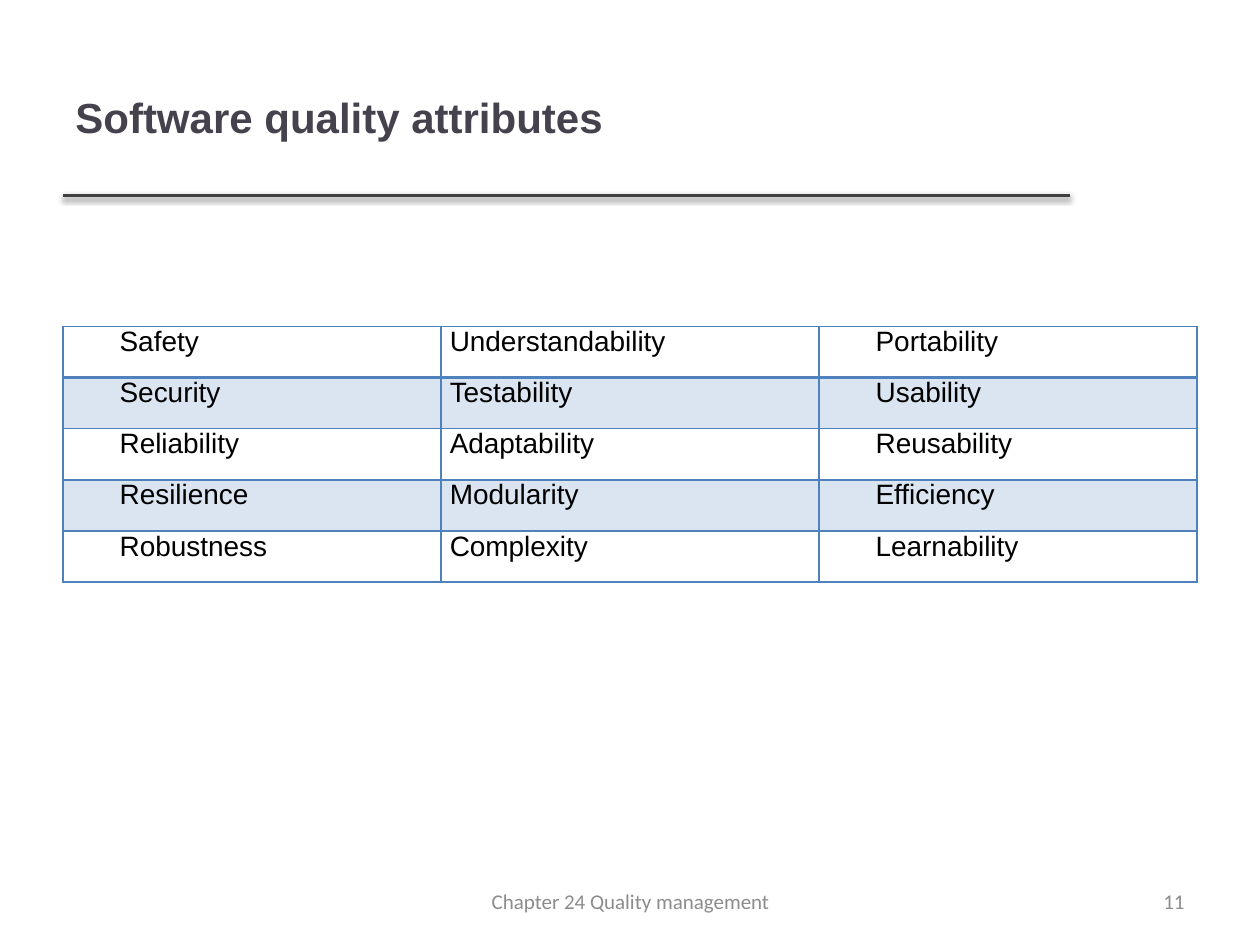
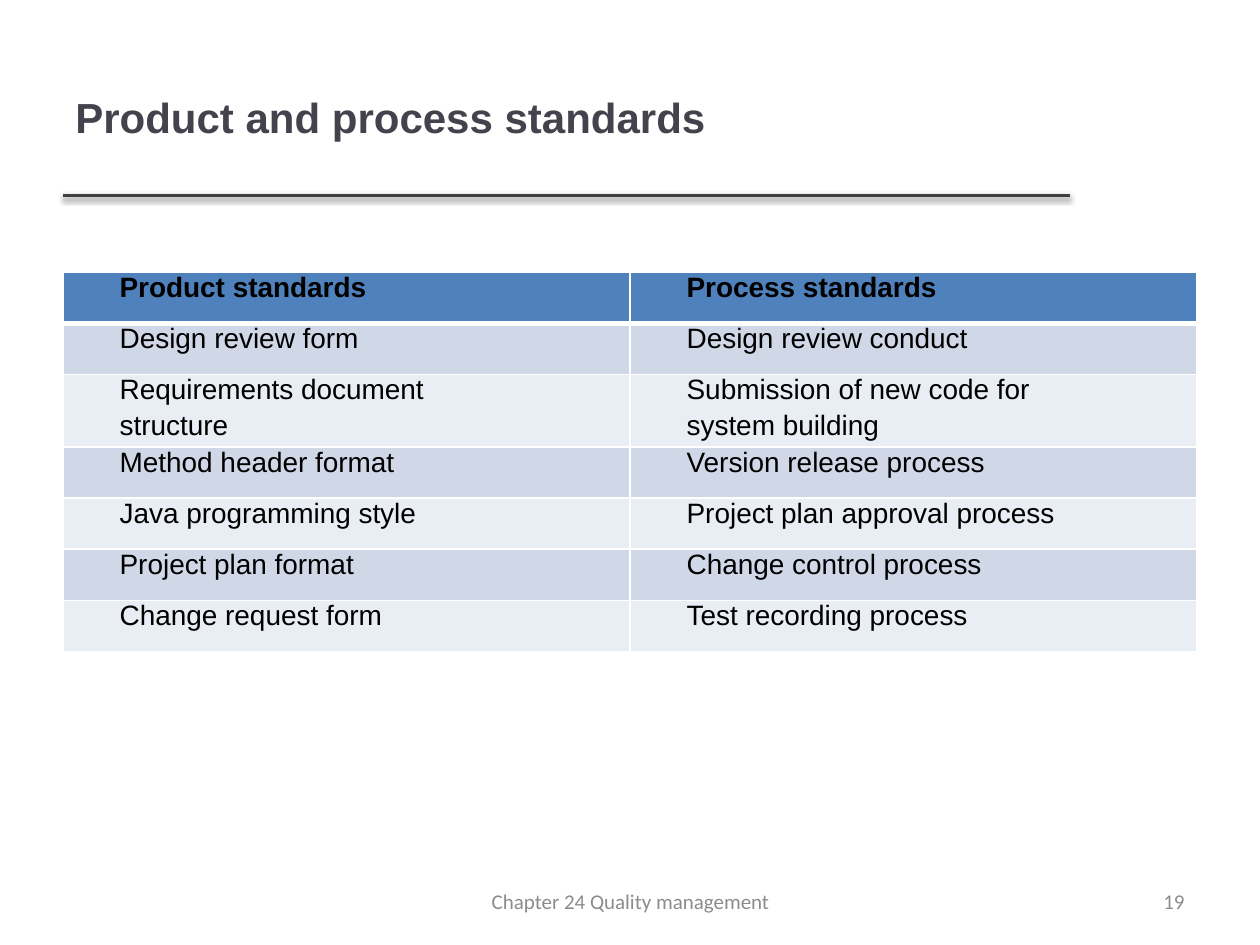
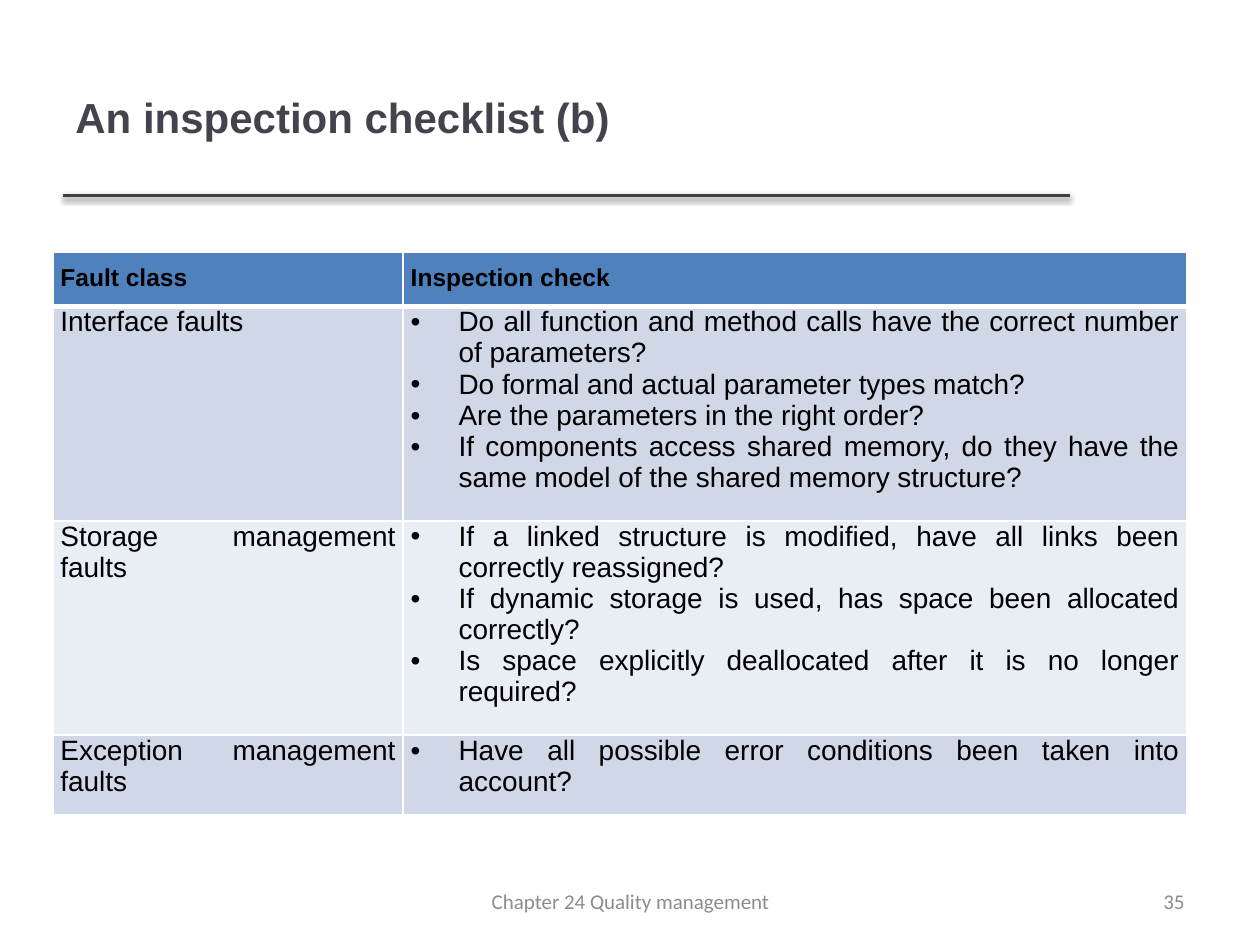
"""Build three quality management slides with tables."""
from dataclasses import dataclass

from lxml.etree import SubElement as Sub
from pptx import Presentation
from pptx.dml.color import RGBColor as RGB
from pptx.enum.shapes import MSO_CONNECTOR as Connector
from pptx.enum.text import MSO_ANCHOR as Anchor, PP_ALIGN as Align
from pptx.oxml.ns import qn
from pptx.util import Inches, Pt


@dataclass(frozen=True)
class Theme:
    """Hold the colours, fonts and type sizes of the deck."""
    title: str = "46424D"
    rule: str = "404040"
    muted: str = "8C8C8C"
    ink: str = "000000"
    accent: str = "4F81BD"
    paper: str = "FFFFFF"
    bands: tuple = ("D0D8E8", "E9EDF4")
    heading_font: str = "Arial"
    footer_font: str = "Calibri"
    title_size: int = 24
    body_size: int = 16
    header_size: int = 14
    footer_size: int = 12


def assign(target, values):
    """Set attributes of the target from a dict."""
    for key, value in values.items():
        setattr(target, key, value)


class Deck:
    """Place styled elements on a grid of 100 columns and 75 rows."""
    COLUMNS, ROWS = 100, 75
    FOOTER = "Chapter 24 Quality management"

    def __init__(self, theme):
        self.theme = theme
        self.show = Presentation()
        assign(self.show, {"slide_width": Inches(10), "slide_height": Inches(7.5)})
        self.slide = None

    def x(self, columns):
        """Turn grid columns into a length."""
        return round(self.show.slide_width * columns / self.COLUMNS)

    def y(self, rows):
        """Turn grid rows into a length."""
        return round(self.show.slide_height * rows / self.ROWS)

    def place(self, left, top, width, height):
        """Turn a grid area into lengths."""
        return self.x(left), self.y(top), self.x(width), self.y(height)

    def new_slide(self, title, number):
        """Start a slide with its title, rule and footer."""
        t = self.theme
        self.slide = self.show.slides.add_slide(self.show.slide_layouts[6])
        self.rule(5, 15.5, 84.9)
        self.label(title, (5, 3, 79.8, 12.5), Align.LEFT,
                   {"name": t.heading_font, "size": Pt(t.title_size), "bold": True}, t.title)
        footer = {"name": t.footer_font, "size": Pt(t.footer_size)}
        self.label(str(number), (71.7, 69.5, 23.3, 4), Align.RIGHT, footer, t.muted)
        self.label(self.FOOTER, (34.2, 69.5, 31.7, 4), Align.CENTER, footer, t.muted)

    def rule(self, start, row, end):
        """Draw a horizontal line with a soft shadow."""
        line = self.slide.shapes.add_connector(
            Connector.STRAIGHT, self.x(start), self.y(row), self.x(end), self.y(row))
        line.line.color.rgb = RGB.from_string(self.theme.rule)
        line.line.width = Pt(2)
        effects = Sub(line._element.spPr, qn("a:effectLst"))
        shadow = Sub(effects, qn("a:outerShdw"), blurRad=str(Pt(3.1)), dist=str(Pt(1.6)),
                     dir="5400000", rotWithShape="0")
        colour = Sub(shadow, qn("a:srgbClr"), val=self.theme.ink)
        Sub(colour, qn("a:alpha"), val="38000")

    def label(self, text, area, align, font, colour):
        """Write one line of text centred vertically in an area."""
        frame = self.slide.shapes.add_textbox(*self.place(*area)).text_frame
        assign(frame, {"word_wrap": True, "vertical_anchor": Anchor.MIDDLE})
        self.paragraph(frame.paragraphs[0], text, {"alignment": align}, font, colour)

    def paragraph(self, paragraph, text, layout, font, colour):
        """Fill a paragraph and format it."""
        assign(paragraph, layout)
        run = paragraph.add_run()
        run.text = text
        assign(run.font, font)
        run.font.color.rgb = RGB.from_string(colour)

    def border(self, cell, colour, top, bottom):
        """Draw the four sides of a cell, with widths in points."""
        for side, width in (("L", 1), ("R", 1), ("T", top), ("B", bottom)):
            line = Sub(cell._tc.get_or_add_tcPr(), qn(f"a:ln{side}"), w=str(Pt(width)))
            Sub(Sub(line, qn("a:solidFill")), qn("a:srgbClr"), val=colour)

    def fill(self, cell, colour, opacity=100):
        """Fill a cell, or leave it clear when there is no colour."""
        if colour is None:
            cell.fill.background()
            return
        cell.fill.solid()
        cell.fill.fore_color.rgb = RGB.from_string(colour)
        if opacity < 100:
            tint = cell._tc.tcPr.find(f"{qn('a:solidFill')}/{qn('a:srgbClr')}")
            Sub(tint, qn("a:alpha"), val=str(opacity * 1000))

    def cell_text(self, cell, text, margins, layout, font, indent, bullet):
        """Write one paragraph for each line of text in a cell."""
        assign(cell, margins)
        for index, line in enumerate(text.split("\n")):
            frame = cell.text_frame
            paragraph = frame.add_paragraph() if index else frame.paragraphs[0]
            self.paragraph(paragraph, line, layout, font, self.theme.ink)
            props = paragraph._p.get_or_add_pPr()
            props.set("marL", str(Inches(indent) if bullet else 0))
            props.set("indent", str(Inches(-indent if bullet else indent)))
            if bullet:
                Sub(props, qn("a:buFont"), typeface=self.theme.heading_font)
                Sub(props, qn("a:buChar"), char="•")

    def table(self, rows, left, top, widths, *, header=True, edge, under, fills, side, foot=0,
              aligns, indents, bullets=(), header_size=None, space=None):
        """Add a table whose columns and bands follow the given formats."""
        t, step = self.theme, 4.06
        grid = self.slide.shapes.add_table(
            len(rows), len(widths),
            *self.place(left, top, sum(widths), step * len(rows))).table
        assign(grid, {"first_row": False, "horz_banding": False})
        for column, width in zip(grid.columns, widths):
            column.width = self.x(width)
        for r, texts in enumerate(rows):
            grid.rows[r].height = self.y(step)
            head = header and r == 0
            size = header_size if head and header_size else t.body_size
            font = {"name": t.heading_font, "size": Pt(size), "bold": head}
            margins = {"margin_left": Inches(side), "margin_right": Inches(side),
                       "margin_top": Inches(foot if head else 0), "margin_bottom": Inches(foot)}
            for c, text in enumerate(texts):
                cell = grid.cell(r, c)
                self.border(cell, edge, under[1] if r == 1 else 1, under[0] if r == 0 else 1)
                self.fill(cell, *((t.accent,) if head else fills[(r - 1) % 2]))
                layout = {"alignment": Align.JUSTIFY if head else aligns[c], **(space or {})}
                bullet = c in bullets and not head
                indent = 0 if c in bullets and head else indents[c]
                self.cell_text(cell, text, margins, layout, font, indent, bullet)


ATTRIBUTES = [
    ("Safety", "Understandability", "Portability"),
    ("Security", "Testability", "Usability"),
    ("Reliability", "Adaptability", "Reusability"),
    ("Resilience", "Modularity", "Efficiency"),
    ("Robustness", "Complexity", "Learnability"),
]
STANDARDS = [
    ("Product standards", "Process standards"),
    ("Design review form", "Design review conduct"),
    ("Requirements document\nstructure", "Submission of new code for \nsystem building"),
    ("Method header format", "Version release process"),
    ("Java programming style", "Project plan approval process"),
    ("Project plan format", "Change control process"),
    ("Change request form", "Test recording process"),
]
CHECKLIST = [
    ("Fault class", "Inspection check"),
    ("Interface faults", "\n".join((
        "Do all function and method calls have the correct number of parameters?",
        "Do formal and actual parameter types match? ",
        "Are the parameters in the right order? ",
        "If components access shared memory, do they have the same model of the shared "
        "memory structure?"))),
    ("Storage management faults", "\n".join((
        "If a linked structure is modified, have all links been correctly reassigned?",
        "If dynamic storage is used, has space been allocated correctly?",
        "Is space explicitly deallocated after it is no longer required?"))),
    ("Exception management faults",
     "Have all possible error conditions been taken into account?"),
]


def main():
    """Build the slides and save them."""
    theme = Theme()
    deck = Deck(theme)
    banded = {"edge": theme.paper, "under": (3, 1), "fills": [(band,) for band in theme.bands]}

    deck.new_slide("Software quality attributes", 11)
    deck.table(ATTRIBUTES, 5, 25.9, (30, 30, 30), header=False, edge=theme.accent,
               under=(2, 2), fills=[(theme.accent, 20), (None,)], side=0.07,
               aligns=[Align.JUSTIFY] * 3, indents=(0.38, 0, 0.38),
               space={"space_before": Pt(3)})

    deck.new_slide("Product and process standards", 19)
    deck.table(STANDARDS, 5, 21.6, (45, 45), side=0.07, aligns=(Align.LEFT, Align.JUSTIFY),
               indents=(0.38, 0.38), space={"space_after": Pt(3)}, **banded)

    deck.new_slide("An inspection checklist (b)", 35)
    deck.table(CHECKLIST, 4.2, 20, (27.8, 62.2), side=0.06, foot=0.1,
               aligns=[Align.JUSTIFY] * 2, indents=(0, 0.38), bullets=(1,),
               header_size=theme.header_size, **banded)

    deck.show.save("out.pptx")


if __name__ == "__main__":
    main()
